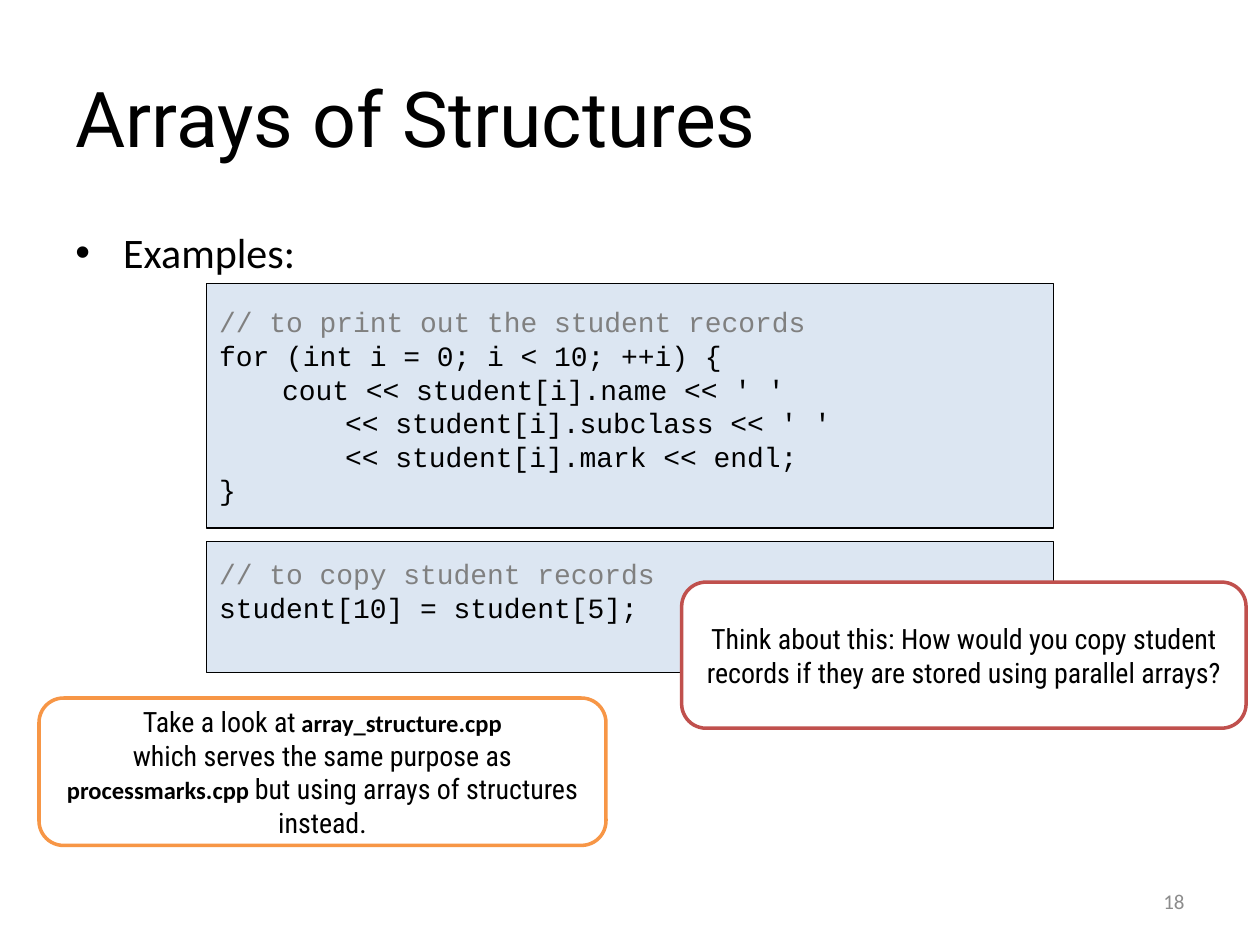
"""Build a slide on arrays of structures, with code panels and callouts."""
import pptx
import pptx.dml.color
import pptx.enum.shapes
import pptx.enum.text
import pptx.oxml.ns
import pptx.util
from lxml import etree

Inches = pptx.util.Inches
RGBColor = pptx.dml.color.RGBColor
Anchor = pptx.enum.text.MSO_ANCHOR
Align = pptx.enum.text.PP_ALIGN
Shape = pptx.enum.shapes.MSO_SHAPE

BLACK = RGBColor(0, 0, 0)
WHITE = RGBColor(255, 255, 255)
COMMENT_GRAY = RGBColor(0x80, 0x80, 0x80)
NUMBER_GRAY = RGBColor(0x8C, 0x8C, 0x8C)
PANEL_BLUE = RGBColor(0xDC, 0xE6, 0xF2)
RED = RGBColor(0xC0, 0x50, 0x4D)
ORANGE = RGBColor(0xF7, 0x96, 0x46)

CODE_LEFT, CODE_WIDTH = 1.64, 6.72
TAB_STEP = 0.5
PLAIN = ("Roboto Condensed", 16, False)
FILE_NAME = ("Calibri", 14, True)
LOOP_CODE = """// to print out the student records
for (int i = 0; i < 10; ++i) {
\tcout << student[i].name << ' '
\t\t<< student[i].subclass << ' '
\t\t<< student[i].mark << endl;
}"""
COPY_CODE = """// to copy student records
student[10] = student[5];"""


def style_run(run, font, size, color=BLACK, bold=False):
    """Set the typeface, size, colour and weight of a run."""
    run.font.name = font
    run.font.size = pptx.util.Pt(size)
    run.font.color.rgb = color
    run.font.bold = bold


def add_child(parent, tag, **attributes):
    """Append a DrawingML element to a parent element."""
    return etree.SubElement(parent, pptx.oxml.ns.qn(tag), attributes)


def add_label(page, bounds, text, font, size, color=BLACK,
              anchor=Anchor.MIDDLE, align=Align.LEFT):
    """Add a one-paragraph text box and return its paragraph."""
    box = page.shapes.add_textbox(*map(Inches, bounds))
    frame = box.text_frame
    frame.word_wrap = True
    frame.vertical_anchor = anchor
    frame.text = text
    para = frame.paragraphs[0]
    para.alignment = align
    style_run(para.runs[0], font, size, color)
    return para


def add_bullet(para):
    """Give a paragraph a round bullet and a hanging indent."""
    properties = para._p.get_or_add_pPr()
    properties.set("marL", str(Inches(0.38)))
    properties.set("indent", str(Inches(-0.38)))
    add_child(properties, "a:buFont", typeface="Arial")
    add_child(properties, "a:buChar", char="•")


def add_panel(page, kind, bounds, fill, line, line_width):
    """Add a filled, outlined shape and return its text frame."""
    panel = page.shapes.add_shape(kind, *map(Inches, bounds))
    panel.shadow.inherit = False
    panel.fill.solid()
    panel.fill.fore_color.rgb = fill
    panel.line.color.rgb = line
    panel.line.width = pptx.util.Pt(line_width)
    frame = panel.text_frame
    frame.word_wrap = True
    frame.vertical_anchor = Anchor.MIDDLE
    return frame


def add_code(page, top, height, code):
    """Add a code panel with gray comments and return its text frame."""
    bounds = (CODE_LEFT, top, CODE_WIDTH, height)
    frame = add_panel(page, Shape.RECTANGLE, bounds, PANEL_BLUE, BLACK, 0.75)
    frame.text = code
    for para in frame.paragraphs:
        para.alignment = Align.LEFT
        tabs = add_child(para._p.get_or_add_pPr(), "a:tabLst")
        for stop in (1, 2):
            add_child(tabs, "a:tab", pos=str(Inches(stop * TAB_STEP)), algn="l")
        color = COMMENT_GRAY if para.text.startswith("//") else BLACK
        style_run(para.runs[0], "Courier New", 16, color)
    return frame


def add_callout(page, bounds, line, paragraphs):
    """Add a rounded callout from paragraphs of (text, style) runs."""
    frame = add_panel(page, Shape.ROUNDED_RECTANGLE, bounds, WHITE, line, 2)
    for index, parts in enumerate(paragraphs):
        para = frame.add_paragraph() if index else frame.paragraphs[0]
        para.alignment = Align.CENTER
        for text, (font, size, bold) in parts:
            run = para.add_run()
            run.text = text
            style_run(run, font, size, bold=bold)


def main():
    """Build and save the slide."""
    deck = pptx.Presentation()
    deck.slide_width, deck.slide_height = Inches(10), Inches(7.5)
    page = deck.slides.add_slide(deck.slide_layouts[6])

    add_label(page, (0.5, 0.3, 9, 1.25), "Arrays of Structures", "Roboto", 44)
    examples = add_label(page, (0.5, 1.75, 9, 4.95), "Examples:", "Calibri", 24,
                         anchor=Anchor.TOP)
    add_bullet(examples)
    add_label(page, (7.17, 6.95, 2.33, 0.4), "18", "Calibri", 12, NUMBER_GRAY,
              align=Align.RIGHT)

    add_code(page, 2.25, 1.94, LOOP_CODE)
    copy_frame = add_code(page, 4.3, 1.04, COPY_CODE)
    copy_frame.vertical_anchor = Anchor.TOP
    copy_frame.margin_top = Inches(0.12)

    add_callout(page, (5.41, 4.62, 4.48, 1.16), RED, [
        [("Think about this: How would you copy student records "
          "if they are stored using parallel arrays?", PLAIN)],
    ])
    add_callout(page, (0.31, 5.54, 4.5, 1.17), ORANGE, [
        [("Take a look at", PLAIN), (" ", ("Cabin", 14, False)),
         ("array_structure.cpp", FILE_NAME)],
        [("which serves the same purpose as ", PLAIN),
         ("processmarks.cpp ", FILE_NAME),
         ("but using arrays of structures instead.", PLAIN)],
    ])
    deck.save("out.pptx")


if __name__ == "__main__":
    main()
